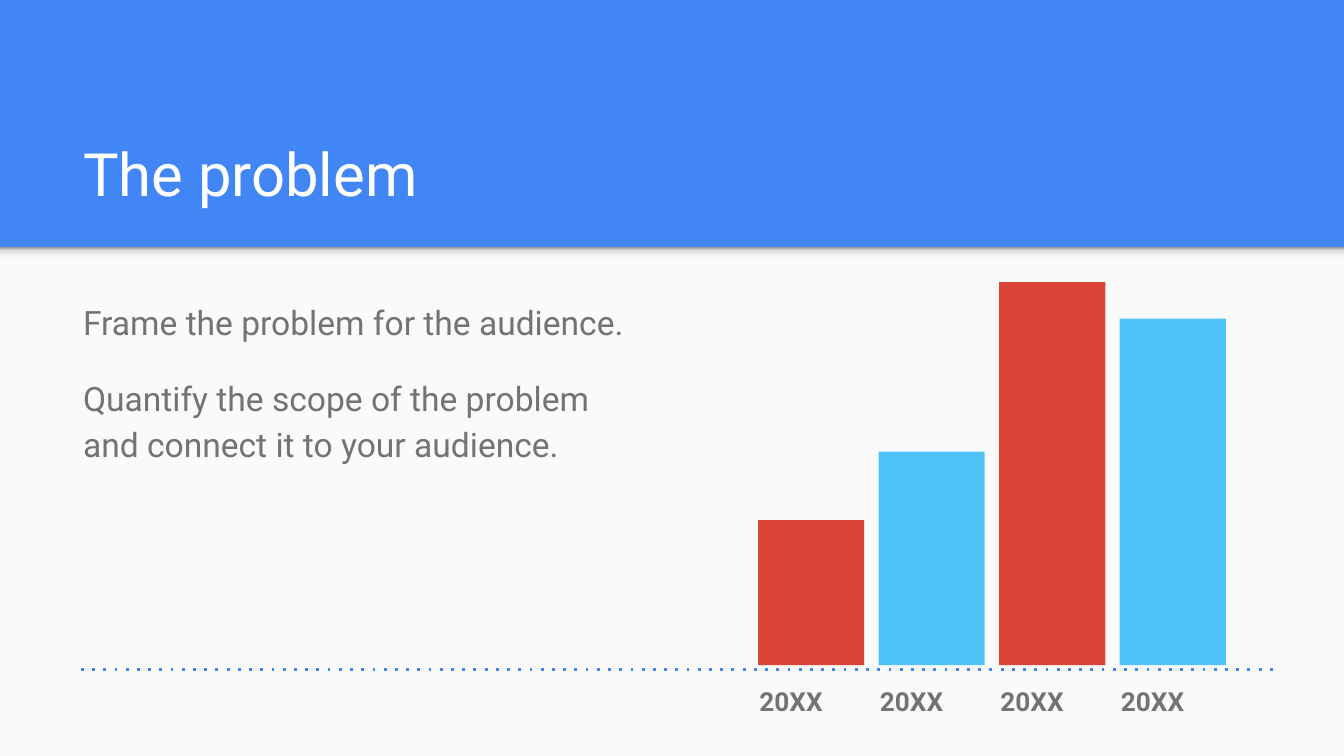
import pptx
import pptx.util
import pptx.dml.color
import pptx.enum.shapes
import pptx.enum.text
import pptx.oxml
import pptx.oxml.ns

Pt = pptx.util.Pt
RECT = pptx.enum.shapes.MSO_SHAPE.RECTANGLE
NS = pptx.oxml.ns.nsdecls("a")

deck = pptx.Presentation()
deck.slide_width = pptx.util.Inches(10)
deck.slide_height = pptx.util.Inches(5.625)
slide = deck.slides.add_slide(deck.slide_layouts[6])
shapes = slide.shapes

# Grid of 100 columns by 56.25 rows
unit = deck.slide_width / 100


def color(target, code):
    target.rgb = pptx.dml.color.RGBColor.from_string(code)


def write(frame, lines, code, font, para):
    frame.word_wrap = True
    for side in ("left", "top", "right", "bottom"):
        setattr(frame, "margin_" + side, int(unit))
    for i, line in enumerate(lines):
        item = frame.add_paragraph() if i else frame.paragraphs[0]
        item.text = line
        for key, value in para.items():
            setattr(item, key, value)
        for key, value in font.items():
            setattr(item.runs[0].font, key, value)
        color(item.runs[0].font.color, code)


# Blue background
back = slide.background.fill
back.solid()
color(back.fore_color, "4285F4")

# Pale panel, then the bars: left, top, width, height in grid units
floor = 49.5
step = 8.97
blocks = [(0, 18.4, 100, 37.85, "FAFAFA")]
for i, tall in enumerate((10.8, 15.9, 28.5, 25.8)):
    blocks.append((56.4 + i * step, floor - tall, 7.9, tall,
                   ("DB4437", "4FC3F7")[i % 2]))
# Shade under the header comes right after the panel
blocks.insert(1, (0, 18.4, 100, 1.2, None))

for *area, code in blocks:
    box = shapes.add_shape(RECT, *[int(n * unit) for n in area])
    box.shadow.inherit = False
    box.line.fill.background()
    if code:
        box.fill.solid()
        color(box.fill.fore_color, code)
        continue
    box.fill.gradient()
    box.fill.gradient_angle = 90
    stops = box._element.spPr.find(".//" + pptx.oxml.ns.qn("a:gsLst"))
    for stop in list(stops):
        stops.remove(stop)
    for spot, shade in ((0, "F9F9F9"), (36, "F9F9F9"),
                        (80, "DEDEDE"), (100, "999999")):
        stops.append(pptx.oxml.parse_xml(
            f'<a:gs {NS} pos="{spot * 1000}"><a:srgbClr val="{shade}"/></a:gs>'))

# Title and body
gray = "737373"
texts = [
    ((5.2, 8.1, 89.9, 8.4), "BOTTOM", ["The problem"], "FFFFFF", 32, {}),
    ((5.2, 21, 43.7, 29.6), "TOP",
     ["Frame the problem for the audience.",
      "Quantify the scope of the problem and connect it to your audience."],
     gray, 18, {"line_spacing": 1.15, "space_after": Pt(16)}),
]
for area, side, lines, code, size, para in texts:
    frame = shapes.add_textbox(*[int(n * unit) for n in area]).text_frame
    frame.vertical_anchor = pptx.enum.text.MSO_ANCHOR[side]
    write(frame, lines, code, {"name": "Roboto", "size": Pt(size)}, para)

# Year labels, one column per bar
area = (55.5, 49.8, 4 * step, 2.6)
table = shapes.add_table(1, 4, *[int(n * unit) for n in area]).table
table.first_row = table.horz_banding = False
style = table._tbl.tblPr.find(pptx.oxml.ns.qn("a:tableStyleId"))
style.text = "{2D5ABB26-0587-4C30-8999-92F81FD0307C}"
for cell in table.iter_cells():
    cell.fill.background()
    write(cell.text_frame, ["20XX"], gray,
          {"name": "Roboto", "size": Pt(14), "bold": True},
          {"line_spacing": 1.15})
    for side in ("left", "top", "right", "bottom"):
        setattr(cell, "margin_" + side, int(unit))

# Dotted base line
ends = [int(n * unit) for n in (94.7, 49.8, 5.6, 49.8)]
base = shapes.add_connector(pptx.enum.shapes.MSO_CONNECTOR.STRAIGHT, *ends)
color(base.line.color, "4285F4")
base.line.width = Pt(1.5)
base.line._get_or_add_ln().append(
    pptx.oxml.parse_xml(f'<a:prstDash {NS} val="dot"/>'))
base._element.spPr.append(pptx.oxml.parse_xml(f"<a:effectLst {NS}/>"))

deck.save("out.pptx")
